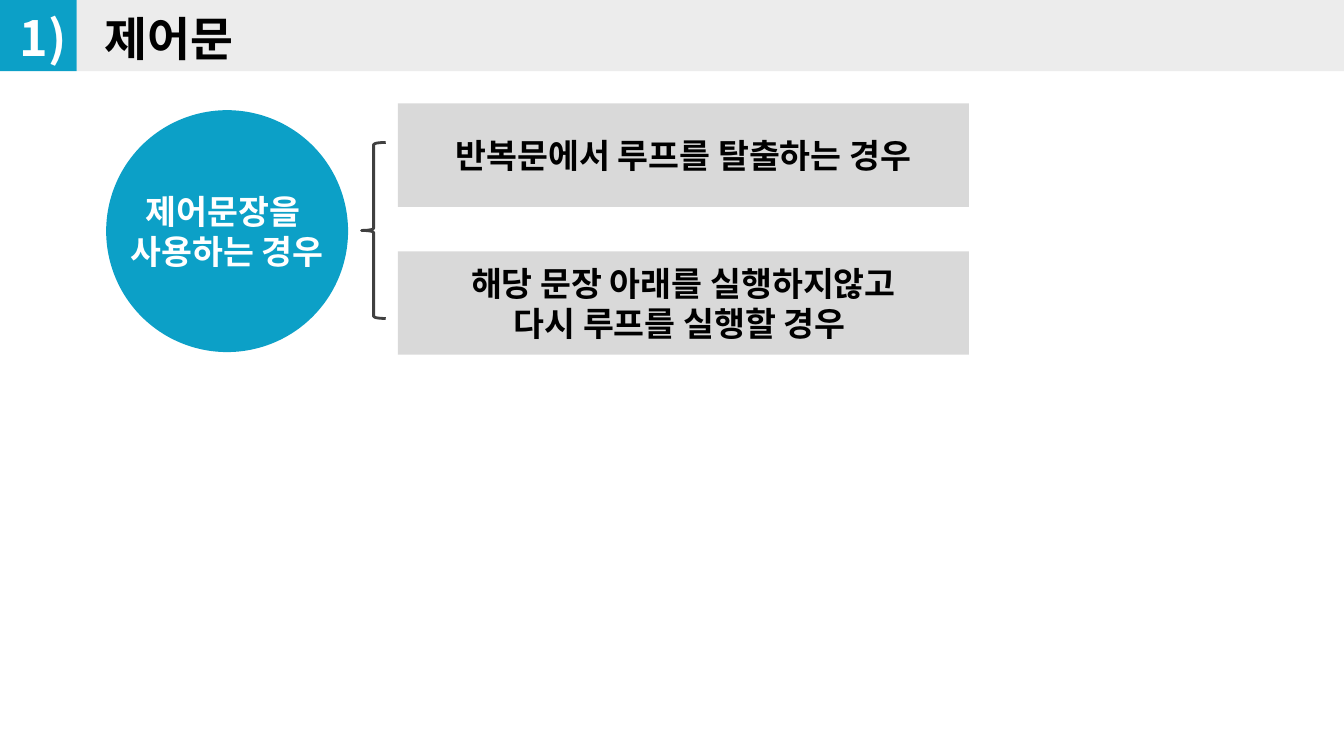
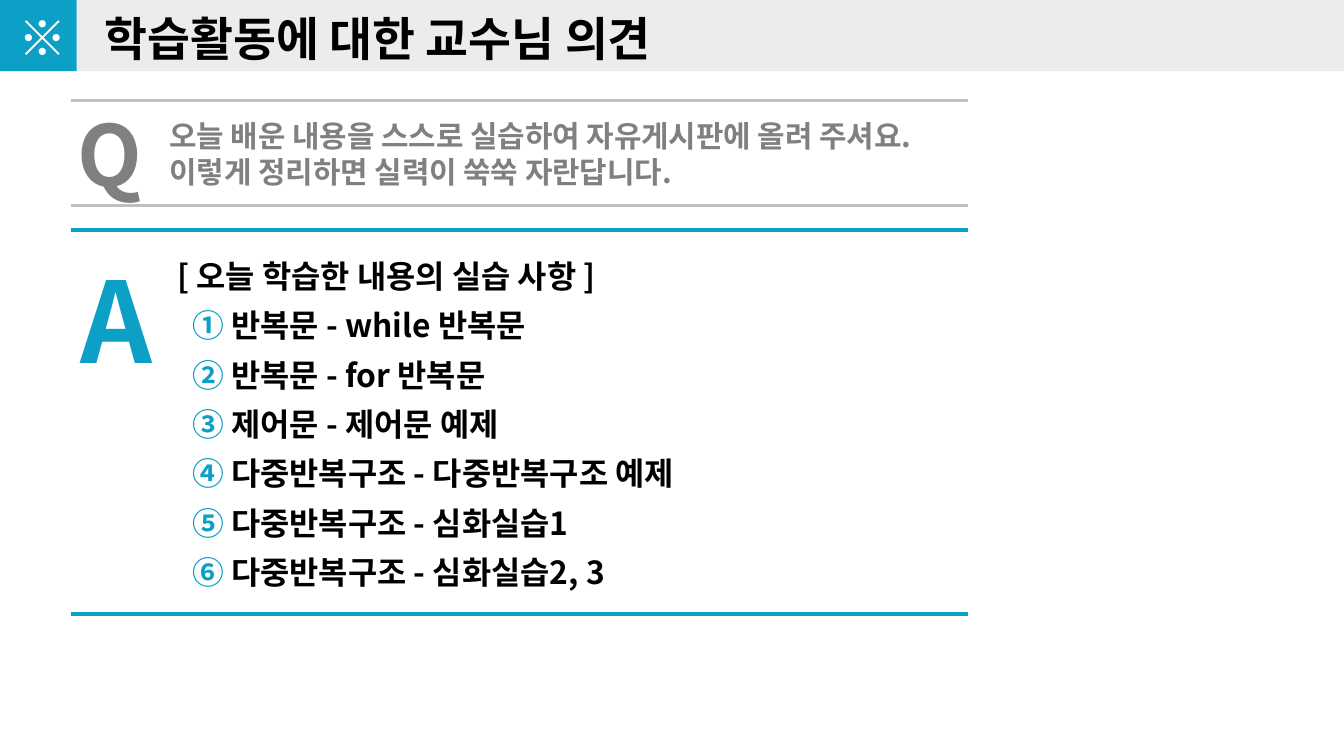
from lxml.etree import SubElement
from pptx import Presentation
from pptx.dml.color import RGBColor
from pptx.enum.shapes import MSO_CONNECTOR, MSO_SHAPE
from pptx.enum.text import MSO_ANCHOR, MSO_AUTO_SIZE, PP_ALIGN
from pptx.oxml.ns import qn
from pptx.util import Inches, Pt

FONT = "Noto Sans CJK KR"
TEAL = RGBColor(0x0C, 0xA0, 0xC7)
BAND_GRAY = RGBColor(0xEC, 0xEC, 0xEC)
BOX_GRAY = RGBColor(0xD9, 0xD9, 0xD9)
RULE_GRAY = RGBColor(0xBF, 0xBF, 0xBF)
QUESTION_GRAY = RGBColor(0x80, 0x80, 0x80)
BRACE_GRAY = RGBColor(0x40, 0x40, 0x40)
BLACK = RGBColor(0, 0, 0)
WHITE = RGBColor(0xFF, 0xFF, 0xFF)

CASES = [
    "반복문에서 루프를 탈출하는 경우",
    "해당 문장 아래를 실행하지않고\v다시 루프를 실행할 경우 ",
]
PRACTICES = [
    "반복문 - while 반복문",
    "반복문 - for 반복문",
    "제어문 - 제어문 예제",
    "다중반복구조 - 다중반복구조 예제",
    "다중반복구조 - 심화실습1",
    "다중반복구조 - 심화실습2, 3",
]


def style_paragraph(paragraph, size, color, align=PP_ALIGN.LEFT):
    paragraph.alignment = align
    font = paragraph.font
    font.size = Pt(size)
    font.bold = True
    font.color.rgb = color
    font.name = FONT
    font._rPr.set("kern", "0")
    SubElement(font._rPr, qn("a:ea")).set("typeface", FONT)


def set_margins(frame, side, edge):
    frame.margin_left = frame.margin_right = Inches(side)
    frame.margin_top = frame.margin_bottom = Inches(edge)


def number_paragraph(paragraph):
    properties = paragraph._p.get_or_add_pPr()
    properties.set("marL", str(Inches(0.4)))
    properties.set("indent", str(Inches(-0.29)))
    bullet_color = SubElement(properties, qn("a:buClr"))
    SubElement(bullet_color, qn("a:srgbClr")).set("val", str(TEAL))
    SubElement(properties, qn("a:buAutoNum")).set("type", "circleNumDbPlain")


def add_filled(slide, preset, left, top, width, height, fill):
    shape = slide.shapes.add_shape(
        preset, Inches(left), Inches(top), Inches(width), Inches(height))
    shape.shadow.inherit = False
    shape.fill.solid()
    shape.fill.fore_color.rgb = fill
    shape.line.fill.background()
    return shape


def label_shape(shape, text, color):
    frame = shape.text_frame
    frame.text = text
    frame.vertical_anchor = MSO_ANCHOR.MIDDLE
    style_paragraph(frame.paragraphs[0], 18, color, PP_ALIGN.CENTER)
    return frame


def add_text(slide, left, top, width, height, text, size, color,
             align=PP_ALIGN.LEFT, grow=True):
    box = slide.shapes.add_textbox(
        Inches(left), Inches(top), Inches(width), Inches(height))
    frame = box.text_frame
    frame.word_wrap = True
    frame.auto_size = MSO_AUTO_SIZE.SHAPE_TO_FIT_TEXT if grow else MSO_AUTO_SIZE.NONE
    set_margins(frame, 0.14, 0.07)
    frame.text = text
    style_paragraph(frame.paragraphs[0], size, color, align)
    return frame


def add_rule(slide, y, color, weight):
    rule = slide.shapes.add_connector(
        MSO_CONNECTOR.STRAIGHT, Inches(0.53), Inches(y), Inches(7.2), Inches(y))
    rule.line.color.rgb = color
    rule.line.width = Pt(weight)
    SubElement(rule._element.spPr, qn("a:effectLst"))


def add_brace(slide, left, top, width, height):
    brace = slide.shapes.add_shape(
        MSO_SHAPE.LEFT_BRACE, Inches(left), Inches(top), Inches(width), Inches(height))
    brace.shadow.inherit = False
    brace.fill.background()
    brace.line.color.rgb = BRACE_GRAY
    brace.line.width = Pt(1.5)


def move_bands_to_layout(slide, layout):
    bands = [
        add_filled(slide, MSO_SHAPE.RECTANGLE, 0.57, -0.01, 9.43, 0.54, BAND_GRAY),
        add_filled(slide, MSO_SHAPE.RECTANGLE, -0.01, -0.01, 0.58, 0.54, TEAL),
    ]
    for position, band in enumerate(bands, start=2):
        layout.shapes.element.insert(position, band.element)


def add_heading(slide, marker, heading):
    title = slide.shapes.title
    title.left, title.top = Inches(0.64), Inches(0)
    title.width, title.height = Inches(8.92), Inches(0.56)
    frame = title.text_frame
    frame.text = heading
    frame.word_wrap = True
    frame.auto_size = MSO_AUTO_SIZE.NONE
    frame.vertical_anchor = MSO_ANCHOR.TOP
    set_margins(frame, 0.14, 0.07)
    style_paragraph(frame.paragraphs[0], 25, BLACK)
    add_text(slide, -0.01, -0.01, 0.66, 0.58, marker, 26, WHITE,
             PP_ALIGN.CENTER, grow=False)


def build_control_slide(slide):
    add_heading(slide, "1)", "제어문")
    topic = add_filled(slide, MSO_SHAPE.OVAL, 0.79, 0.82, 1.8, 1.8, TEAL)
    label_shape(topic, "제어문장을 \v사용하는 경우", WHITE).word_wrap = False
    for row, case in enumerate(CASES):
        case_box = add_filled(
            slide, MSO_SHAPE.RECTANGLE, 2.96, 0.77 + row * 1.1, 4.25, 0.77, BOX_GRAY)
        set_margins(label_shape(case_box, case, BLACK), 0.24, 0.05)
    add_brace(slide, 2.69, 1.06, 0.18, 1.31)


def build_opinion_slide(slide):
    add_heading(slide, "※", "학습활동에 대한 교수님 의견")
    for y in (1.53, 0.75):
        add_rule(slide, y, RULE_GRAY, 1.5)
    for y in (1.71, 4.57):
        add_rule(slide, y, TEAL, 2.25)

    add_text(slide, 0.46, 1.8, 0.8, 1.15, "A", 60, TEAL)
    answer = add_text(slide, 1.18, 1.84, 6.03, 2.65,
                      "[ 오늘 학습한 내용의 실습 사항 ]", 17, BLACK)
    for practice in PRACTICES:
        paragraph = answer.add_paragraph()
        paragraph.text = practice
        paragraph.space_before = Pt(6)
        number_paragraph(paragraph)
        style_paragraph(paragraph, 17, BLACK)

    question = add_text(
        slide, 1.12, 0.8, 6.21, 0.68,
        "오늘 배운 내용을 스스로 실습하여 자유게시판에 올려 주셔요. \v"
        "이렇게 정리하면 실력이 쑥쑥 자란답니다.", 16, QUESTION_GRAY)
    question.vertical_anchor = MSO_ANCHOR.MIDDLE
    add_text(slide, 0.44, 0.69, 0.74, 0.9, "Q", 45, QUESTION_GRAY)


def main():
    deck = Presentation()
    deck.slide_width = Inches(10)
    deck.slide_height = Inches(10) * 9 // 16
    title_only = deck.slide_layouts[5]
    control_slide = deck.slides.add_slide(title_only)
    opinion_slide = deck.slides.add_slide(title_only)
    move_bands_to_layout(control_slide, title_only)
    build_control_slide(control_slide)
    build_opinion_slide(opinion_slide)
    deck.save("out.pptx")


if __name__ == "__main__":
    main()
